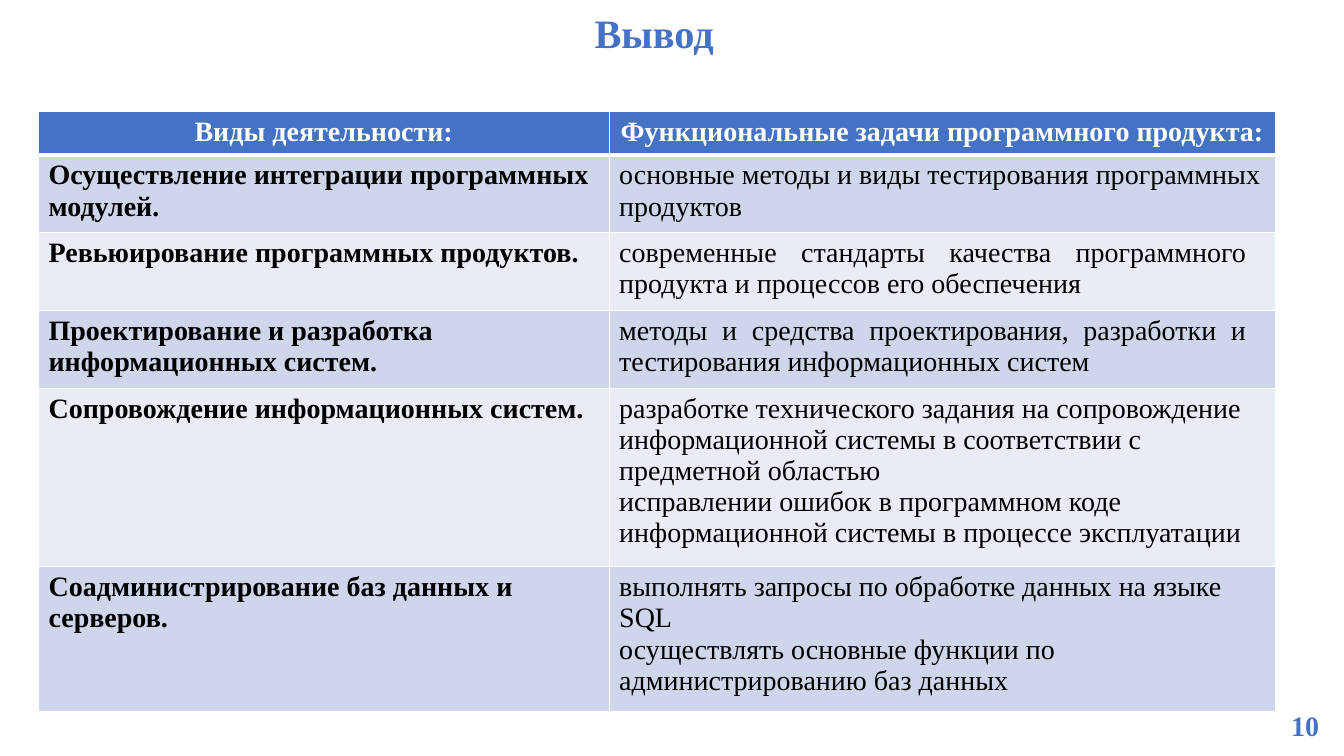
from dataclasses import dataclass

from lxml import etree
from pptx import Presentation
from pptx import util as u
from pptx.dml.color import RGBColor
from pptx.enum import text as t
from pptx.oxml import ns

Cm, Pt = u.Cm, u.Pt
LEFT, MID, JUST = t.PP_ALIGN.LEFT, t.PP_ALIGN.CENTER, t.PP_ALIGN.JUSTIFY


@dataclass(frozen=True)
class Theme:
    font: str = "Times New Roman"
    blue: str = "4472C4"
    white: str = "FFFFFF"
    black: str = "000000"
    bands: tuple = ("CFD5EA", "E9EBF5")
    title: float = 28.8
    body: float = 20


THEME = Theme()

HEAD = ("Виды деятельности:", "Функциональные задачи программного продукта:")

# Activity, tasks, alignment of the tasks, row height in cm
ROWS = [
    ("Осуществление интеграции программных модулей.",
     "основные методы и виды тестирования программных продуктов",
     LEFT, 1.96),
    ("Ревьюирование программных продуктов.",
     "современные стандарты качества программного продукта "
     "и процессов его обеспечения",
     JUST, 1.96),
    ("Проектирование и разработка информационных систем.",
     "методы и средства проектирования, разработки и "
     "тестирования информационных систем",
     JUST, 1.96),
    ("Сопровождение информационных систем.",
     "разработке технического задания на сопровождение информационной "
     "системы в соответствии с предметной областью\n"
     "исправлении ошибок в программном коде информационной системы "
     "в процессе эксплуатации",
     LEFT, 4.5),
    ("Соадминистрирование баз данных и серверов.",
     "выполнять запросы по обработке данных на языке SQL\n"
     "осуществлять основные функции по администрированию баз данных",
     LEFT, 3.66),
]


def write(frame, words, size, color, bold=True, align=LEFT):
    frame.text = words
    frame.word_wrap = True
    for para in frame.paragraphs:
        para.alignment = align
        for run in para.runs:
            font = run.font
            font.name, font.size, font.bold = THEME.font, Pt(size), bold
            font.color.rgb = RGBColor.from_string(color)


def label(slide, box, words, size):
    shape = slide.shapes.add_textbox(*(Cm(v) for v in box))
    write(shape.text_frame, words, size, THEME.blue, align=MID)
    return shape.text_frame


def edge(cell, low):
    """Draw white cell borders; low is the width of the bottom one."""
    props = cell._tc.get_or_add_tcPr()
    for i, (side, width) in enumerate(zip("LRTB", (1, 1, 1, low))):
        line = etree.Element(ns.qn("a:ln" + side), w=str(Pt(width)))
        fill = etree.SubElement(line, ns.qn("a:solidFill"))
        etree.SubElement(fill, ns.qn("a:srgbClr"), val=THEME.white)
        props.insert(i, line)


def paint(cell, words, fill, color, bold=True, align=LEFT, low=1):
    write(cell.text_frame, words, THEME.body, color, bold, align)
    cell.fill.solid()
    cell.fill.fore_color.rgb = RGBColor.from_string(fill)
    edge(cell, low)


def grid(slide):
    table = slide.shapes.add_table(
        len(ROWS) + 1, 2, Cm(0.97), Cm(2.8), Cm(31.17), Cm(15.13)).table
    for col, width in zip(table.columns, (14.38, 16.79)):
        col.width = Cm(width)

    # Header row
    table.rows[0].height = Cm(1.09)
    for col, words in enumerate(HEAD):
        paint(table.cell(0, col), words, THEME.blue, THEME.white,
              align=MID, low=3)

    # Banded body rows
    for i, (work, tasks, align, height) in enumerate(ROWS):
        row = i + 1
        table.rows[row].height = Cm(height)
        fill = THEME.bands[i % 2]
        top = 3 if row == 1 else 1
        paint(table.cell(row, 0), work, fill, THEME.black)
        task = table.cell(row, 1)
        paint(task, tasks, fill, THEME.black, bold=False, align=align)
        if align == JUST:
            task.margin_right = Cm(0.73)
        for cell in (table.cell(row, 0), task):
            cell._tc.tcPr.find(ns.qn("a:lnT")).set("w", str(Pt(top)))


def main():
    deck = Presentation()
    deck.slide_width, deck.slide_height = Cm(33.87), Cm(19.05)
    slide = deck.slides.add_slide(deck.slide_layouts[6])

    # Title
    title = label(slide, (11.43, 0.23, 10.11, 1.35), "Вывод", THEME.title)
    title.vertical_anchor = t.MSO_ANCHOR.MIDDLE
    title.paragraphs[0].line_spacing = 0.9

    # Activities and tasks
    grid(slide)

    # Page number
    label(slide, (32.13, 17.73, 1.52, 1.12), "10", THEME.body)

    deck.save("out.pptx")


if __name__ == "__main__":
    main()
